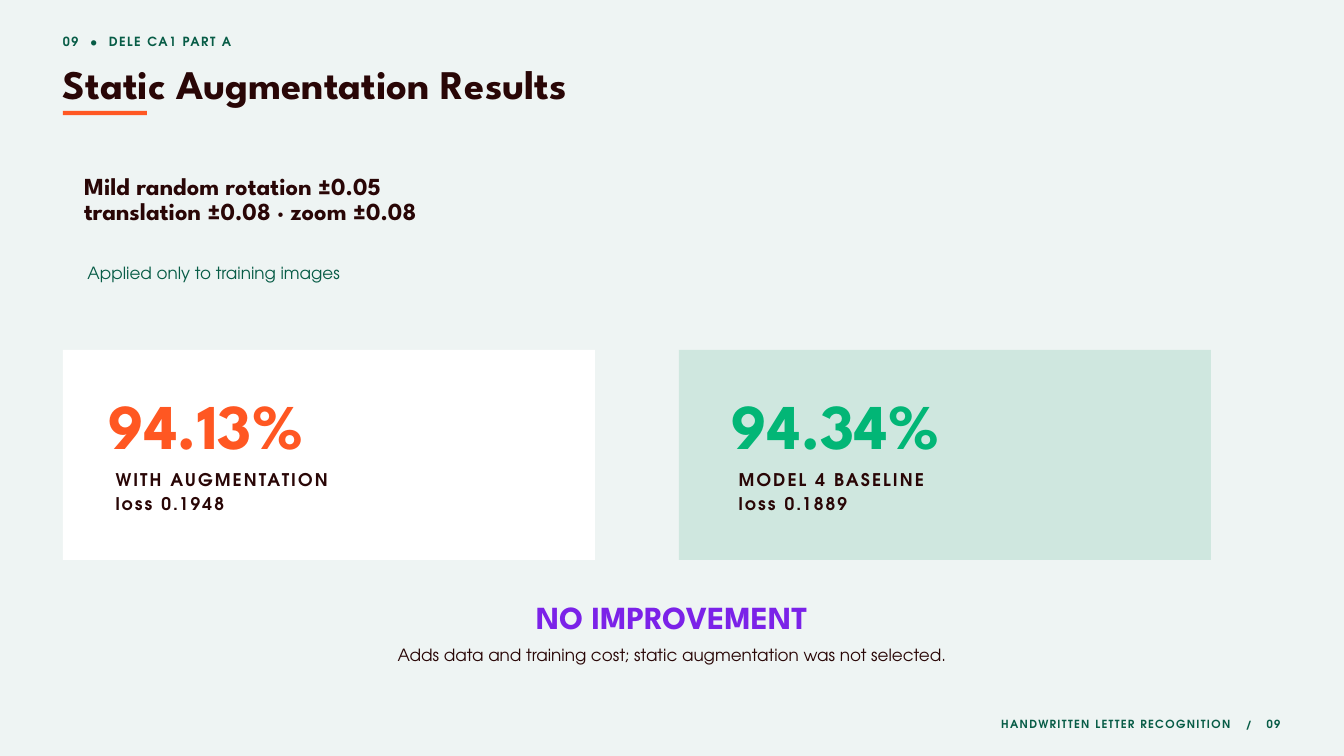
from dataclasses import dataclass

from pptx import Presentation
from pptx.dml.color import RGBColor
from pptx.enum import shapes, text
from pptx.util import Pt


@dataclass(frozen=True)
class Theme:
    heading: str = "League Spartan"
    body: str = "TeX Gyre Adventor"
    page: str = "EEF4F3"
    ink: str = "290606"
    forest: str = "075C46"
    orange: str = "FF5722"
    green: str = "02B676"
    violet: str = "7B22E8"
    white: str = "FFFFFF"
    mint: str = "CFE7DF"
    title_size: float = 43.5
    setting_size: float = 26.25
    score_size: float = 68.25
    verdict_size: float = 34.5
    label_size: float = 18.75
    body_size: float = 18
    kicker_size: float = 13.5
    footer_size: float = 12


@dataclass(frozen=True)
class Style:
    font: str
    size: float
    color: str
    leading: float
    bold: bool = True
    tracking: float = 0
    align: text.PP_ALIGN = text.PP_ALIGN.LEFT


@dataclass(frozen=True)
class Box:
    x: float
    y: float
    w: float
    h: float


@dataclass(frozen=True)
class Result:
    score: str
    label: str
    color: str
    fill: str
    card_x: float
    text_x: float


T = Theme()
RIGHT, CENTER = text.PP_ALIGN.RIGHT, text.PP_ALIGN.CENTER
MARGIN = 67.5

RESULTS = [
    Result("94.13%", "WITH AUGMENTATION\nloss 0.1948", T.orange, T.white, MARGIN, 116.25),
    Result("94.34%", "MODEL 4 BASELINE\nloss 0.1889", T.green, T.mint, 727.5, 784),
]


def add_rect(slide, box: Box, fill: str) -> None:
    sp = slide.shapes.add_shape(shapes.MSO_SHAPE.RECTANGLE,
                                Pt(box.x), Pt(box.y), Pt(box.w), Pt(box.h))
    sp.shadow.inherit = False
    sp.fill.solid()
    sp.fill.fore_color.rgb = RGBColor.from_string(fill)
    sp.line.fill.background()


def format_run(r, style: Style, tracking: float) -> None:
    r.font.name = style.font
    r.font.size = Pt(style.size)
    r.font.bold = style.bold
    r.font.color.rgb = RGBColor.from_string(style.color)
    if tracking:
        r._r.get_or_add_rPr().set("spc", str(round(tracking * 100)))


def add_text(slide, box: Box, content: str, style: Style):
    sp = slide.shapes.add_textbox(Pt(box.x), Pt(box.y), Pt(box.w), Pt(box.h))
    tf = sp.text_frame
    tf.margin_left = tf.margin_top = tf.margin_right = tf.margin_bottom = 0
    tf.word_wrap = True
    tf.auto_size = text.MSO_AUTO_SIZE.SHAPE_TO_FIT_TEXT
    tf.text = content
    for p in tf.paragraphs:
        p.alignment = style.align
        p.line_spacing = Pt(style.leading)
        for r in p.runs:
            format_run(r, style, style.tracking)
    return tf


def add_separated(slide, box: Box, parts: list[str], gap: float, style: Style) -> None:
    """Write parts in one line, with a widened space between them."""
    p = add_text(slide, box, parts[0], style).paragraphs[0]
    for part in parts[1:]:
        for piece, tracking in ((" ", gap), (part, style.tracking)):
            r = p.add_run()
            r.text = piece
            format_run(r, style, tracking)


def add_result(slide, result: Result) -> None:
    add_rect(slide, Box(result.card_x, 375, 570, 225), result.fill)
    add_text(slide, Box(result.text_x, 425.5, 375, 72), result.score,
             Style(T.heading, T.score_size, result.color, 69.6))
    add_text(slide, Box(result.text_x + 7.5, 498.75, 353, 52.5), result.label,
             Style(T.body, T.label_size, T.ink, 26.2, tracking=2.2))


def main() -> None:
    prs = Presentation()
    prs.slide_width, prs.slide_height = Pt(1440), Pt(810)
    s = prs.slides.add_slide(prs.slide_layouts[6])
    s.background.fill.solid()
    s.background.fill.fore_color.rgb = RGBColor.from_string(T.page)

    # Header
    add_separated(s, Box(MARGIN, 34, 450, 18), ["09", "•", "DELE CA1 PART A"], 7,
                  Style(T.body, T.kicker_size, T.forest, 18.9, tracking=1.62))
    add_text(s, Box(MARGIN, 70.5, 1125, 46), "Static Augmentation Results",
             Style(T.heading, T.title_size, T.ink, 44.4))
    add_rect(s, Box(MARGIN, 118.75, 90, 4.5), T.orange)

    # Augmentation settings
    add_text(s, Box(90, 187.5, 502.5, 53.5),
             "Mild random rotation ±0.05\ntranslation ±0.08 · zoom ±0.08",
             Style(T.heading, T.setting_size, T.ink, 26.8))
    add_text(s, Box(93.75, 280.5, 487.5, 21.5), "Applied only to training images",
             Style(T.body, T.body_size, T.forest, 23, bold=False))

    # Result cards
    for result in RESULTS:
        add_result(s, result)

    # Verdict
    add_text(s, Box(487.5, 646.5, 465, 35.5), "NO IMPROVEMENT",
             Style(T.heading, T.verdict_size, T.violet, 35.2, align=CENTER))
    add_text(s, Box(375, 689, 690, 21.5),
             "Adds data and training cost; static augmentation was not selected.",
             Style(T.body, T.body_size, T.ink, 23, bold=False, align=CENTER))

    # Footer
    add_separated(s, Box(MARGIN, 766, 1304.5, 15),
                  ["HANDWRITTEN LETTER RECOGNITION", "/", "09"], 10.9,
                  Style(T.body, T.footer_size, T.forest, 16.8, tracking=1.45, align=RIGHT))

    prs.save("out.pptx")


if __name__ == "__main__":
    main()
